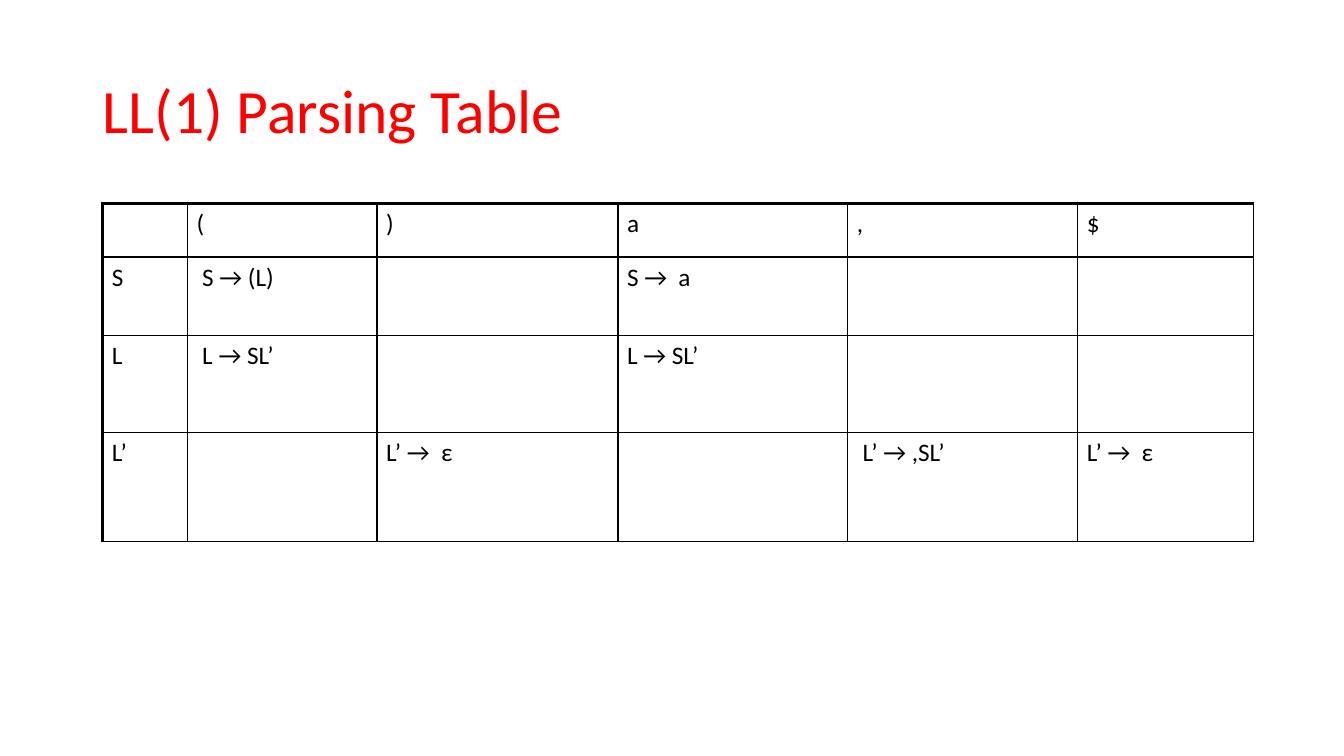
import pptx
import pptx.util
import pptx.dml.color
import pptx.enum.text
import pptx.oxml
import pptx.oxml.ns
from pptx.util import Inches


class Theme:
    title_font = "Calibri"
    body_font = "Times New Roman"
    red = pptx.dml.color.RGBColor(0xFF, 0, 0)
    black = pptx.dml.color.RGBColor(0, 0, 0)
    title_size = 44
    label_size = 24
    rule_size = 20
    thick = 2.25
    thin = 1


def style(para, font, size, color, bold=False):
    for run in para.runs:
        run.font.name = font
        run.font.size = pptx.util.Pt(size)
        run.font.color.rgb = color
        run.font.bold = bold


def border(cell, side, width):
    line = pptx.oxml.parse_xml(
        f'<a:{side} {pptx.oxml.ns.nsdecls("a")} w="{pptx.util.Pt(width)}">'
        f'<a:solidFill><a:srgbClr val="{Theme.black}"/></a:solidFill></a:{side}>')
    cell._tc.get_or_add_tcPr().append(line)


deck = pptx.Presentation()
deck.slide_width = Inches(13.33)
deck.slide_height = Inches(7.5)
slide = deck.slides.add_slide(deck.slide_layouts[6])

# Title
title = slide.shapes.add_textbox(Inches(0.92), Inches(0.4), Inches(11.5), Inches(1.45))
frame = title.text_frame
frame.word_wrap = True
frame.vertical_anchor = pptx.enum.text.MSO_ANCHOR.MIDDLE
frame.text = "LL(1) Parsing Table"
frame.paragraphs[0].line_spacing = 0.9
style(frame.paragraphs[0], Theme.title_font, Theme.title_size, Theme.red)

# Parsing table: terminals across, nonterminals down
rows = [
    ["", "(", ")", "a", ",", "$"],
    ["S", " S → (L)", "", "S →  a", "", ""],
    ["L", " L → SL’", "", "L → SL’", "", ""],
    ["L’", "", "L’ →  ε", "", " L’ → ,SL’", "L’ →  ε"],
]
widths = [0.84, 1.88, 2.39, 2.28, 2.28, 1.74]
heights = [0.53, 0.78, 0.96, 1.08]
holder = slide.shapes.add_table(len(rows), len(widths), Inches(1.02), Inches(2.02),
                                Inches(sum(widths)), Inches(sum(heights)))
table = holder.table
table.first_row = False
table.horz_banding = False
for col, width in zip(table.columns, widths):
    col.width = Inches(width)
for row, height in zip(table.rows, heights):
    row.height = Inches(height)

# Cells: text, then borders, then fill
for r, row in enumerate(rows):
    for c, text in enumerate(row):
        cell = table.cell(r, c)
        cell.margin_left = cell.margin_right = Inches(0.09)
        cell.margin_top = cell.margin_bottom = Inches(0.05)
        para = cell.text_frame.paragraphs[0]
        if text:
            cell.text_frame.text = text
            size = Theme.label_size if c == 0 else Theme.rule_size
            style(para, Theme.body_font, size, Theme.black, bold=text != "$")
        if r == 0:
            para.alignment = pptx.enum.text.PP_ALIGN.CENTER
        border(cell, "lnL", Theme.thick if c == 0 else Theme.thin)
        border(cell, "lnR", Theme.thin)
        border(cell, "lnT", Theme.thick if r == 0 else Theme.thin)
        border(cell, "lnB", Theme.thin)
        cell.fill.background()

deck.save("out.pptx")
